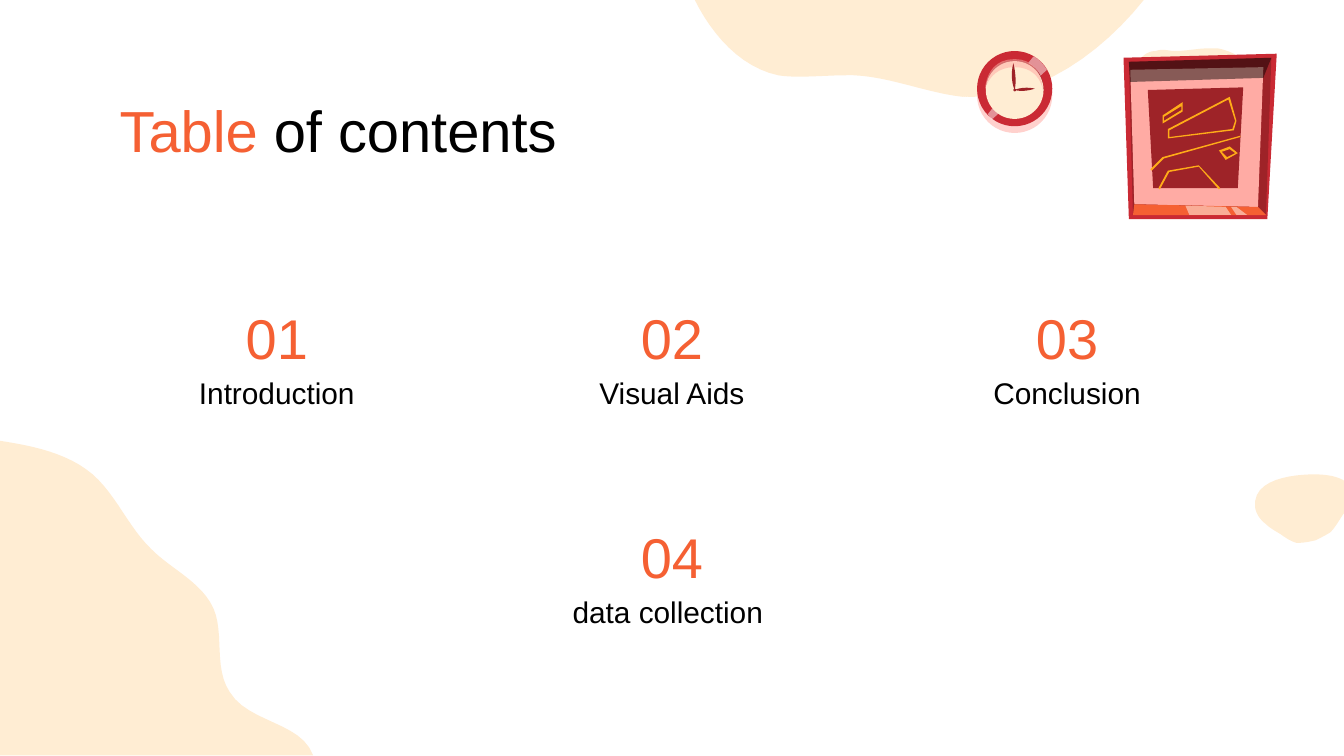
"""Build a table of contents slide with a clock, a framed painting and soft blobs."""
from typing import NamedTuple

from pptx import Presentation
from pptx.dml.color import RGBColor
from pptx.enum.shapes import MSO_SHAPE as Preset
from pptx.enum.text import MSO_ANCHOR as Anchor, MSO_AUTO_SIZE as AutoSize, PP_ALIGN as Align
from pptx.oxml.ns import qn
from pptx.util import Inches, Pt
from lxml.etree import SubElement

ORANGE = RGBColor(0xF5, 0x60, 0x33)
BLACK = RGBColor(0, 0, 0)
WHITE = RGBColor(0xFF, 0xFF, 0xFF)
CREAM = RGBColor(0xFF, 0xED, 0xD3)
RED = RGBColor(0xCA, 0x2A, 0x34)
MAROON = RGBColor(0x9E, 0x23, 0x28)
PINK = RGBColor(0xFF, 0xAB, 0xA4)
AMBER = RGBColor(0xFF, 0xAC, 0x18)
FONT = "Arial"
CURVE_STEPS = 12

Contour = list[tuple[float, ...]]


class Outline(NamedTuple):
    """Contours of points (x, y) and cubic curves (two controls and an end)."""
    color: RGBColor
    contours: list[Contour]
    opacity: int = 100


class Disc(NamedTuple):
    """A circle given by its centre height and diameter on the clock axis."""
    color: RGBColor
    middle: float
    diameter: float
    opacity: int = 100


class Entry(NamedTuple):
    """A contents entry and its grid cell, with column 0 in the centre."""
    number: str
    label: str
    column: int
    row: int


BLOBS = [
    Outline(CREAM, [[
        (0, 3.28), (0, 5.62), (2.33, 5.62), (2.24, 5.37, 1.85, 5.38, 1.71, 5.15),
        (1.59, 4.97, 1.67, 4.72, 1.59, 4.53), (1.5, 4.33, 1.28, 4.24, 1.13, 4.09),
        (0.96, 3.93, 0.87, 3.69, 0.69, 3.53), (0.5, 3.37, 0.25, 3.32, 0, 3.28)]]),
    Outline(CREAM, [[
        (8.51, 0), (5.17, 0), (5.3, 0.26, 5.51, 0.5, 5.79, 0.56),
        (5.85, 0.57, 5.9, 0.57, 5.96, 0.57), (6.07, 0.57, 6.19, 0.56, 6.3, 0.56),
        (6.31, 0.56, 6.33, 0.56, 6.35, 0.56), (6.62, 0.57, 6.89, 0.69, 7.16, 0.72),
        (7.19, 0.72, 7.22, 0.72, 7.25, 0.72), (7.74, 0.72, 8.2, 0.39, 8.51, 0)]]),
    Outline(CREAM, [[
        (9, 0.36), (8.91, 0.36, 8.83, 0.38, 8.74, 0.38), (8.7, 0.38, 8.65, 0.36, 8.6, 0.38),
        (8.53, 0.38, 8.48, 0.43, 8.46, 0.49), (8.43, 0.55, 8.43, 0.61, 8.43, 0.68),
        (8.43, 0.76, 8.43, 0.84, 8.46, 0.91), (8.49, 0.99, 8.55, 1.05, 8.62, 1.07),
        (8.64, 1.08, 8.66, 1.08, 8.68, 1.08), (8.74, 1.08, 8.79, 1.06, 8.84, 1.04),
        (8.91, 1.01, 8.98, 0.98, 9.06, 0.97), (9.12, 0.97, 9.16, 0.98, 9.19, 0.98),
        (9.23, 0.98, 9.26, 0.97, 9.29, 0.95), (9.34, 0.93, 9.36, 0.88, 9.38, 0.83),
        (9.41, 0.73, 9.39, 0.62, 9.33, 0.53), (9.27, 0.44, 9.17, 0.38, 9.06, 0.36)]]),
    Outline(CREAM, [[
        (9.78, 3.53), (9.63, 3.53, 9.31, 3.56, 9.34, 3.78),
        (9.35, 3.83, 9.38, 3.87, 9.42, 3.9), (9.46, 3.94, 9.51, 3.96, 9.55, 3.99),
        (9.58, 4.01, 9.61, 4.03, 9.65, 4.04), (9.7, 4.04, 9.75, 4.03, 9.79, 4.02),
        (9.83, 4, 9.87, 3.98, 9.9, 3.96), (9.94, 3.92, 9.97, 3.86, 10, 3.82),
        (10.02, 3.8, 10.04, 3.78, 10.06, 3.75), (10.09, 3.69, 10.05, 3.61, 9.99, 3.57),
        (9.93, 3.54, 9.86, 3.53, 9.78, 3.53)]]),
]

PAINTING = [
    Outline(RED, [[(8.4, 1.63), (8.36, 0.43), (9.5, 0.4), (9.43, 1.63)]]),
    Outline(MAROON, [[(9.46, 0.43), (8.4, 0.46), (8.43, 1.6), (9.42, 1.6)]]),
    Outline(PINK, [[(8.44, 1.52), (9.36, 1.54), (9.4, 0.5), (8.41, 0.52)]]),
    Outline(ORANGE, [[(9.36, 1.54), (9.42, 1.6), (8.43, 1.6), (8.44, 1.52)]]),
    Outline(BLACK, [[(9.46, 0.43), (8.4, 0.46), (8.41, 0.61), (9.4, 0.58)]], 47),
    Outline(MAROON, [[(9.25, 0.65), (8.54, 0.67), (8.58, 1.4), (9.21, 1.4)]]),
    Outline(AMBER, [[(8.57, 1.27), (8.56, 1.26), (8.65, 1.17), (9.23, 1.01),
                     (9.23, 1.02), (8.66, 1.18)]]),
    Outline(AMBER, [
        [(8.69, 1.03), (8.69, 0.96), (9.15, 0.72), (9.2, 0.9), (9.18, 0.97)],
        [(8.7, 0.97), (8.7, 1.02), (9.17, 0.96), (9.19, 0.9), (9.14, 0.74)]]),
    Outline(AMBER, [
        [(8.65, 0.92), (8.65, 0.86), (8.8, 0.76), (8.8, 0.83)],
        [(8.66, 0.87), (8.66, 0.9), (8.79, 0.82), (8.79, 0.79)]]),
    Outline(AMBER, [[(9.07, 1.41), (8.92, 1.24), (8.7, 1.28), (8.63, 1.41),
                     (8.62, 1.4), (8.69, 1.27), (8.92, 1.23), (9.08, 1.4)]]),
    Outline(AMBER, [
        [(9.12, 1.19), (9.07, 1.12), (9.15, 1.09), (9.21, 1.14)],
        [(9.09, 1.13), (9.13, 1.17), (9.19, 1.14), (9.15, 1.11)]]),
    Outline(WHITE, [[(8.82, 1.53), (8.85, 1.6), (9.16, 1.6), (9.12, 1.54)]], 49),
    Outline(WHITE, [[(9.16, 1.54), (9.2, 1.6), (9.28, 1.6), (9.2, 1.54)]], 49),
]

CLOCK_AXIS = 7.55
CLOCK = [
    Disc(PINK, 0.71, 0.56, 54),
    Disc(RED, 0.66, 0.56),
    Outline(WHITE, [[(7.69, 0.42), (7.35, 0.85), (7.38, 0.89), (7.79, 0.52),
                     (7.79, 0.52, 7.74, 0.44, 7.69, 0.42)]], 49),
    Disc(MAROON, 0.66, 0.43),
    Disc(CREAM, 0.67, 0.43),
    Disc(MAROON, 0.67, 0.02),
    Outline(PINK, [[(7.55, 0.44), (7.33, 0.44, 7.33, 0.67, 7.33, 0.67),
                    (7.33, 0.67, 7.36, 0.5, 7.55, 0.5), (7.74, 0.5, 7.76, 0.67, 7.76, 0.67),
                    (7.76, 0.67, 7.76, 0.44, 7.55, 0.44)]], 54),
    Outline(MAROON, [[(7.55, 0.67), (7.55, 0.67, 7.51, 0.59, 7.54, 0.47),
                      (7.54, 0.47, 7.57, 0.58, 7.55, 0.67)]]),
    Outline(MAROON, [[(7.55, 0.67), (7.55, 0.67, 7.61, 0.64, 7.7, 0.66),
                      (7.7, 0.66, 7.62, 0.69, 7.55, 0.67)]]),
]

ENTRIES = [
    Entry("01", "Introduction", -1, 0),
    Entry("02", "Visual Aids", 0, 0),
    Entry("03", "Conclusion", 1, 0),
    Entry("04", "data collection ", 0, 1),
]
CENTER, COLUMN_STEP, ROW_STEP = 5, 2.94, 1.63


def flatten(contour: Contour) -> list[tuple[int, int]]:
    """Return the contour as short straight segments in EMU."""
    points = [contour[0]]
    for step in contour[1:]:
        if len(step) == 2:
            points.append(step)
            continue
        corners = [points[-1], step[0:2], step[2:4], step[4:6]]
        for index in range(1, CURVE_STEPS + 1):
            t = index / CURVE_STEPS
            weights = ((1 - t) ** 3, 3 * t * (1 - t) ** 2, 3 * t ** 2 * (1 - t), t ** 3)
            points.append(tuple(sum(w * corner[axis] for w, corner in zip(weights, corners))
                                for axis in (0, 1)))
    return [(Inches(x), Inches(y)) for x, y in points]


def draw(shapes, item: Outline | Disc) -> None:
    """Draw one filled outline or disc without a border."""
    if isinstance(item, Disc):
        radius, size = item.diameter / 2, Inches(item.diameter)
        shape = shapes.add_shape(Preset.OVAL, Inches(CLOCK_AXIS - radius),
                                 Inches(item.middle - radius), size, size)
    else:
        first, *others = [flatten(contour) for contour in item.contours]
        builder = shapes.build_freeform(*first[0])
        builder.add_line_segments(first[1:], close=True)
        for points in others:
            builder.move_to(*points[0])
            builder.add_line_segments(points[1:], close=True)
        shape = builder.convert_to_shape()
    shape.shadow.inherit = False
    shape.line.fill.background()
    shape.fill.solid()
    shape.fill.fore_color.rgb = item.color
    if item.opacity < 100:
        color = shape.fill._xPr.find(".//" + qn("a:srgbClr"))
        SubElement(color, qn("a:alpha")).set("val", str(item.opacity * 1000))


def write(box, text: str, size: float, color: RGBColor, align: Align) -> None:
    """Put one vertically centred line of text in the box."""
    frame = box.text_frame
    frame.text = text
    frame.word_wrap = True
    frame.auto_size = AutoSize.NONE
    frame.vertical_anchor = Anchor.MIDDLE
    frame.margin_left = frame.margin_right = frame.margin_top = frame.margin_bottom = Inches(0.1)
    para = frame.paragraphs[0]
    para.alignment = align
    font = para.runs[0].font
    font.name, font.size, font.color.rgb = FONT, Pt(size), color


def add_entry(page, entry: Entry) -> None:
    """Add the number of an entry and the label below it."""
    middle = CENTER + entry.column * COLUMN_STEP
    top = 2.15 + entry.row * ROW_STEP
    for text, offset, width, height, size, color in (
            (entry.number, 0, 1.14, 0.72, 30, ORANGE),
            (entry.label, 0.53, 2.56, 0.48, 16, BLACK)):
        box = page.shapes.add_textbox(Inches(middle - width / 2), Inches(top + offset),
                                      Inches(width), Inches(height))
        write(box, text, size, color, Align.CENTER)


def add_title(page) -> None:
    """Fill the title placeholder with its two-coloured heading."""
    title = page.shapes.title
    title.left, title.top = Inches(0.79), Inches(0.59)
    title.width, title.height = Inches(8.43), Inches(0.69)
    write(title, "Table", 31, ORANGE, Align.LEFT)
    title.text_frame.margin_bottom = Inches(0.05)
    span = title.text_frame.paragraphs[0].add_run()
    span.text = " of contents"
    span.font.name, span.font.size, span.font.color.rgb = FONT, Pt(31), BLACK


def main() -> None:
    """Build and save the deck."""
    deck = Presentation()
    deck.slide_width = Inches(10)
    deck.slide_height = deck.slide_width * 9 // 16
    page = deck.slides.add_slide(deck.slide_layouts[5])
    for blob in BLOBS:
        draw(page.shapes, blob)
    add_title(page)
    for entry in ENTRIES:
        add_entry(page, entry)
    for drawing in (PAINTING, CLOCK):
        group = page.shapes.add_group_shape()
        for item in drawing:
            draw(group.shapes, item)
    deck.save("out.pptx")


if __name__ == "__main__":
    main()
